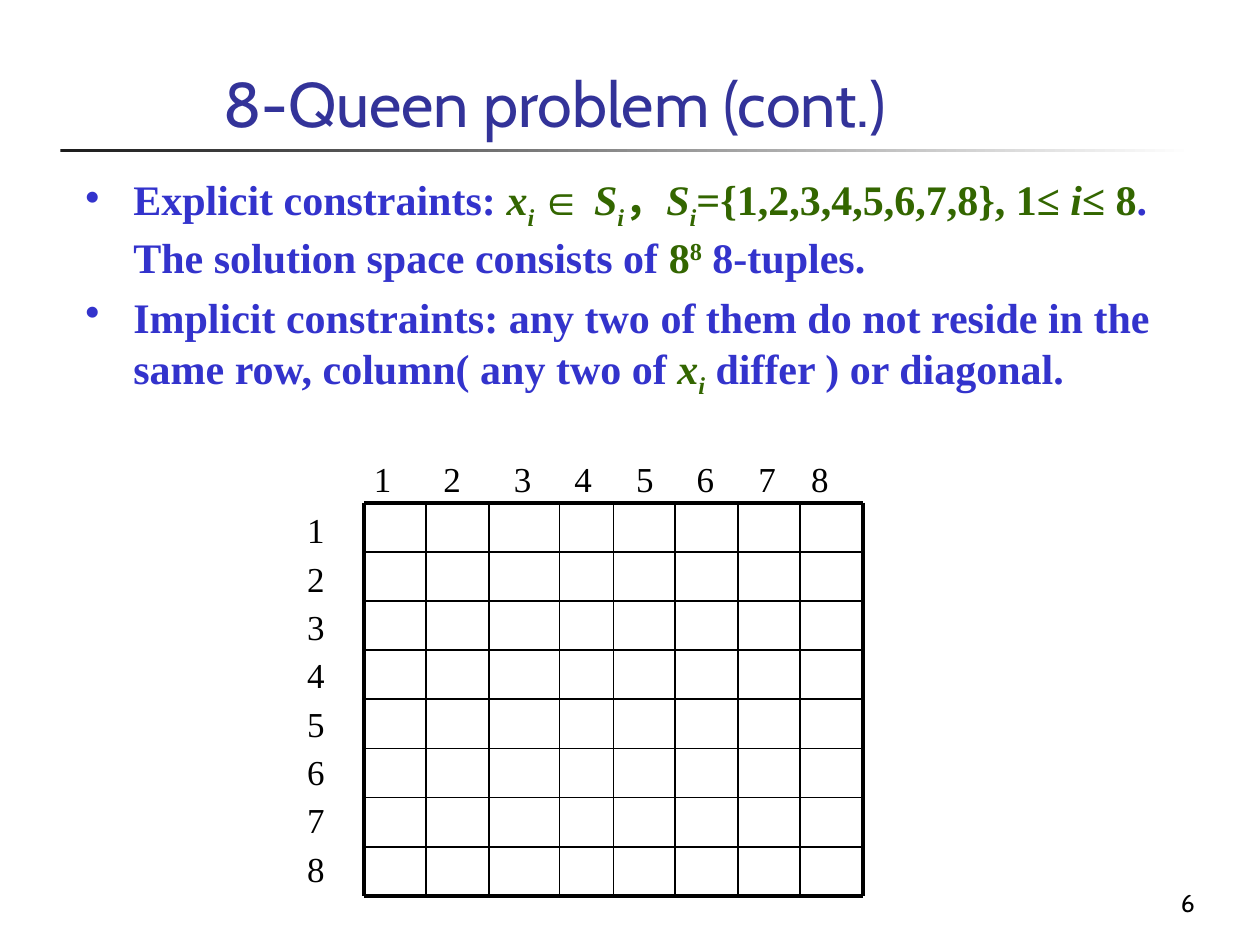
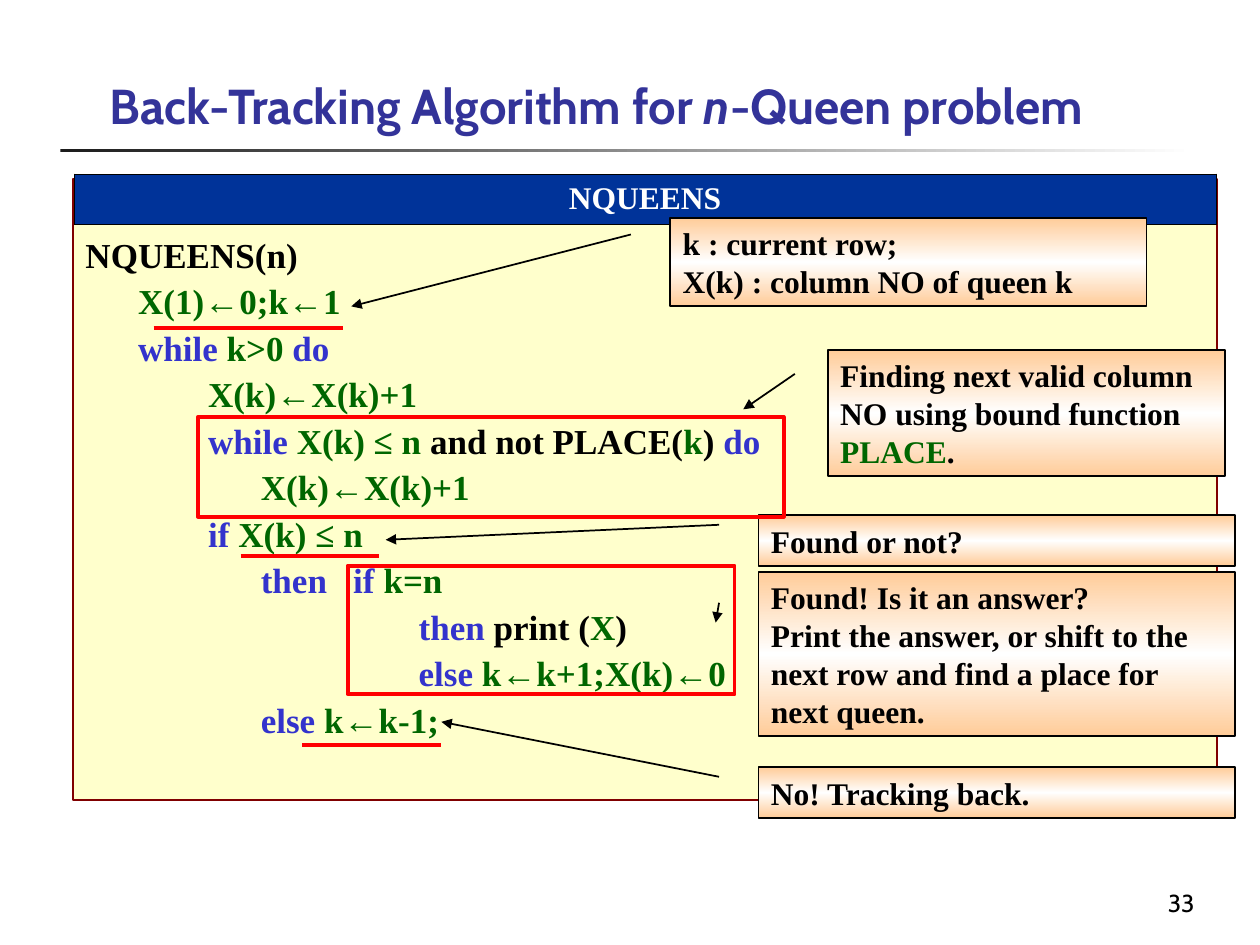
"""Build two slides on the 8-queen problem and its back-tracking algorithm."""
from copy import deepcopy

from lxml import etree
from pptx import Presentation
from pptx.dml.color import RGBColor
from pptx.enum.shapes import MSO_CONNECTOR, MSO_SHAPE
from pptx.enum.text import MSO_ANCHOR, MSO_AUTO_SIZE, PP_ALIGN
from pptx.oxml.ns import qn
from pptx.util import Inches, Pt

STRAIGHT = MSO_CONNECTOR.STRAIGHT
RECT, CALLOUT = MSO_SHAPE.RECTANGLE, MSO_SHAPE.LINE_CALLOUT_1
TOP, MIDDLE, BOTTOM = MSO_ANCHOR.TOP, MSO_ANCHOR.MIDDLE, MSO_ANCHOR.BOTTOM
LEFT, CENTER, RIGHT = PP_ALIGN.LEFT, PP_ALIGN.CENTER, PP_ALIGN.RIGHT
NO_FIT = MSO_AUTO_SIZE.NONE

C = {
    "black": "000000", "white": "FFFFFF", "ink": "1C1C1C", "title": "333399",
    "blue": "3333CC", "olive": "336600", "green": "006600", "cream": "FFFFCC",
    "maroon": "800000", "navy": "003399", "peach": "FFCC99", "red": "FF0000",
}
SERIF, SANS, SYMBOL = "Times New Roman", "Cabin", "Arial"


def write(tf, paras, anchor=TOP, align=LEFT, before=0, spacing=None,
          bullet=None, tabs=(), **base):
    """Fill a text frame; each paragraph is a list of strings or (text, format)."""
    tf.word_wrap = True
    tf.vertical_anchor = anchor
    for i, runs in enumerate(paras):
        p = tf.paragraphs[0] if i == 0 else tf.add_paragraph()
        pPr = p._p.get_or_add_pPr()
        if bullet:
            pPr.set("marL", str(Inches(0.38)))
            pPr.set("indent", str(-Inches(0.38)))
            clr = etree.SubElement(pPr, qn("a:buClr"))
            etree.SubElement(clr, qn("a:srgbClr"), val=C[base["color"]])
            etree.SubElement(pPr, qn("a:buChar"), char=bullet)
        if tabs:
            stops = etree.SubElement(pPr, qn("a:tabLst"))
            for pos in tabs:
                etree.SubElement(stops, qn("a:tab"), pos=str(Inches(pos)), algn="l")
        p.alignment = align
        p.space_before = Pt(before if i else 0)
        if spacing:
            p.line_spacing = spacing[min(i, len(spacing) - 1)]
        for run in runs:
            text, extra = (run, {}) if isinstance(run, str) else run
            f = {"font": SERIF, "color": "black", **base, **extra}
            r = p.add_run()
            r.text = text
            r.font.name = f["font"]
            r.font.size = Pt(f["size"])
            r.font.bold = f.get("bold", False)
            r.font.italic = f.get("italic", False)
            r.font.color.rgb = RGBColor.from_string(C[f["color"]])
            if "shift" in f:
                r._r.get_or_add_rPr().set("baseline", str(f["shift"] * 1000))


def add_box(s, kind, at, fill=(), angle=0, line=None, width=1):
    """Add a shape; several fill colours make an evenly spaced gradient."""
    sp = s.shapes.add_shape(kind, *map(Inches, at))
    sp.shadow.inherit = False
    if len(fill) > 1:
        sp.fill.gradient()
        sp.fill.gradient_angle = angle
        stops = sp._element.xpath(".//a:gsLst")[0]
        for _ in fill[2:]:
            stops.append(deepcopy(stops[-1]))
        for i, (stop, color) in enumerate(zip(sp.fill.gradient_stops, fill)):
            stop.position = i / (len(fill) - 1)
            stop.color.rgb = RGBColor.from_string(C[color])
    elif fill:
        sp.fill.solid()
        sp.fill.fore_color.rgb = RGBColor.from_string(C[fill[0]])
    else:
        sp.fill.background()
    if line:
        sp.line.color.rgb = RGBColor.from_string(C[line])
        sp.line.width = Pt(width)
    else:
        sp.line.fill.background()
    return sp


prs = Presentation()
prs.slide_width, prs.slide_height = Inches(10), Inches(7.5)

headers = [
    (["8-Queen problem (cont.)"], (1.67, 0.17, 7.86, 0.99), 36, False, "6"),
    (["Back-Tracking Algorithm for ", ("n", {"italic": True}), "-Queen problem"],
     (0.77, 0.13, 8.7, 0.99), 28, True, "33"),
]
for title, at, size, bold, number in headers:
    s = prs.slides.add_slide(prs.slide_layouts[5])
    add_box(s, RECT, (0.48, 1.18, 9, 0.03), ("ink", "white"))
    sp = s.shapes.title
    sp.left, sp.top, sp.width, sp.height = map(Inches, at)
    sp.text_frame.auto_size = NO_FIT
    write(sp.text_frame, [title], anchor=BOTTOM, font=SANS, size=size,
          bold=bold, color="title")
    sp = s.shapes.add_textbox(*map(Inches, (7.5, 6.83, 2.08, 0.5)))
    write(sp.text_frame, [[number]], anchor=BOTTOM, align=RIGHT, font=SANS, size=14)

queens, algorithm = prs.slides

math = {"color": "olive"}
var = {"color": "olive", "italic": True}
sub = {**var, "shift": -25}
sp = queens.shapes.add_textbox(*map(Inches, (0.58, 1.33, 9, 5.37)))
write(sp.text_frame, [
    ["Explicit constraints: ", ("x", var), ("i ", sub),
     ("∈ ", {**math, "font": SYMBOL}), ("S", var), ("i", sub), ("，", math),
     ("S", var), ("i", sub), ("={1,2,3,4,5,6,7,8}, 1≤ ", math), ("i", var),
     ("≤ 8", math), ". The solution space consists of ", ("8", math),
     ("8", {**math, "shift": 30}), " 8-tuples."],
    ["Implicit constraints: any two of them do not reside in the same row, "
     "column( any two of ", ("x", var), ("i", sub), " differ ) or diagonal."],
], before=6, bullet="•", size=24, bold=True, color="blue")

digits = "12345678"
sp = add_box(queens, RECT, (2.73, 3.58, 4.27, 0.4), ("white",))
write(sp.text_frame, [["\t" + "\t".join(digits)]], size=20,
      tabs=(0.14, 0.69, 1.25, 1.73, 2.22, 2.7, 3.19, 3.61))
sp = add_box(queens, RECT, (2.34, 3.99, 0.47, 3.35), ("white",))
write(sp.text_frame, [[d] for d in digits], size=20, spacing=(1.0, 1.15))

left, top, right, bottom = 2.89, 3.99, 6.85, 7.11
columns = [left, 3.38, 3.88, 4.44, 4.87, 5.36, 5.86, 6.35, right]
rows = [top + i * (bottom - top) / 8 for i in range(9)]
lines = []
for i, (x, y) in enumerate(zip(columns, rows)):
    width = 2.25 if i in (0, 8) else 1
    lines.append((queens, (left, y, right, y), "black", width))
    lines.append((queens, (x, top, x, bottom), "black", width))

key, val = {"color": "blue"}, {"color": "green"}
arrow = ("←", {**val, "font": SYMBOL})
step = [("X(k)", val), arrow, ("X(k)+1", val)]
code = [
    (0, ["NQUEENS(n)"]),
    (6, [("X(1)", val), arrow, ("0;k", val), arrow, ("1", val)]),
    (6, [("while ", key), ("k>0 ", val), ("do", key)]),
    (14, step),
    (14, [("while ", key), ("X(k) ≤ n", val), " and not PLACE(", ("k", val), ") ",
          ("do", key)]),
    (20, step),
    (14, [("if ", key), ("X(k) ≤ n", val)]),
    (20, [("then   if ", key), ("k=n", val)]),
    (38, [("then", key), " print (", ("X", val), ")"]),
    (38, [("else ", key), ("k", val), arrow, ("k+1;X(k)", val), arrow, ("0", val)]),
    (20, [("else", key), (" k", val), arrow, ("k-1;", val)]),
]
sp = add_box(algorithm, RECT, (0.58, 1.42, 9.08, 4.93), ("cream",),
             line="maroon", width=0.75)
write(sp.text_frame, [[" " * depth, *runs] if depth else runs for depth, runs in code],
      anchor=MIDDLE, before=5, spacing=(0.9,), size=20, bold=True)

table = algorithm.shapes.add_table(1, 1, *map(Inches, (0.59, 1.38, 9.06, 0.4))).table
cell = table.cell(0, 0)
write(cell.text_frame, [["NQUEENS"]], align=CENTER, size=18, bold=True, color="white")
cell.vertical_anchor = MIDDLE
tcPr = cell._tc.get_or_add_tcPr()
for side in ("a:lnL", "a:lnR", "a:lnT", "a:lnB"):
    ln = etree.SubElement(tcPr, qn(side), w=str(Pt(0.45)))
    solid = etree.SubElement(ln, qn("a:solidFill"))
    etree.SubElement(solid, qn("a:srgbClr"), val=C["black"])
cell.fill.solid()
cell.fill.fore_color.rgb = RGBColor.from_string(C["navy"])

callouts = [
    ((5.32, 1.73, 3.78, 0.7), (1.003, -0.67),
     [["k : current row;"], ["X(k) : column NO of queen k"]]),
    ((6.57, 2.78, 3.15, 1), (0.469, -0.213),
     [["Finding next valid column NO using bound function ", ("PLACE", val), "."]]),
    ((6.02, 4.54, 3.78, 1.3), (0.309, -0.09),
     [["Found! Is it an answer?"],
      ["Print the answer, or shift to the next row and find a place for next queen."]]),
    ((6.02, 4.09, 3.78, 0.4), (0.487, -0.783), [["Found or not?"]]),
    ((6.02, 6.09, 3.78, 0.4), (-0.903, -0.666), [["No! Tracking back."]]),
]
for at, tip, paras in callouts:
    sp = add_box(algorithm, CALLOUT, at, ("peach", "white", "peach"), 90, "black")
    for i, value in enumerate((0.188, -0.083, *tip)):
        sp.adjustments[i] = value
    etree.SubElement(sp.line._get_or_add_ln(), qn("a:tailEnd"), type="triangle")
    write(sp.text_frame, paras, size=18, bold=True)

for at in ((1.57, 3.31, 4.65, 0.79), (2.76, 4.49, 3.07, 1.02)):
    add_box(algorithm, RECT, at, line="red", width=2.25)
for x1, x2, y in ((1.22, 2.72, 2.6), (1.91, 3.01, 4.41), (2.4, 3.5, 5.91)):
    lines.append((algorithm, (x1, y, x2, y), "red", 2.25))

for s, ends, color, width in lines:
    sp = s.shapes.add_connector(STRAIGHT, *map(Inches, ends))
    sp.line.color.rgb = RGBColor.from_string(C[color])
    sp.line.width = Pt(width)
    etree.SubElement(sp._element.spPr, qn("a:effectLst"))

prs.save("out.pptx")
